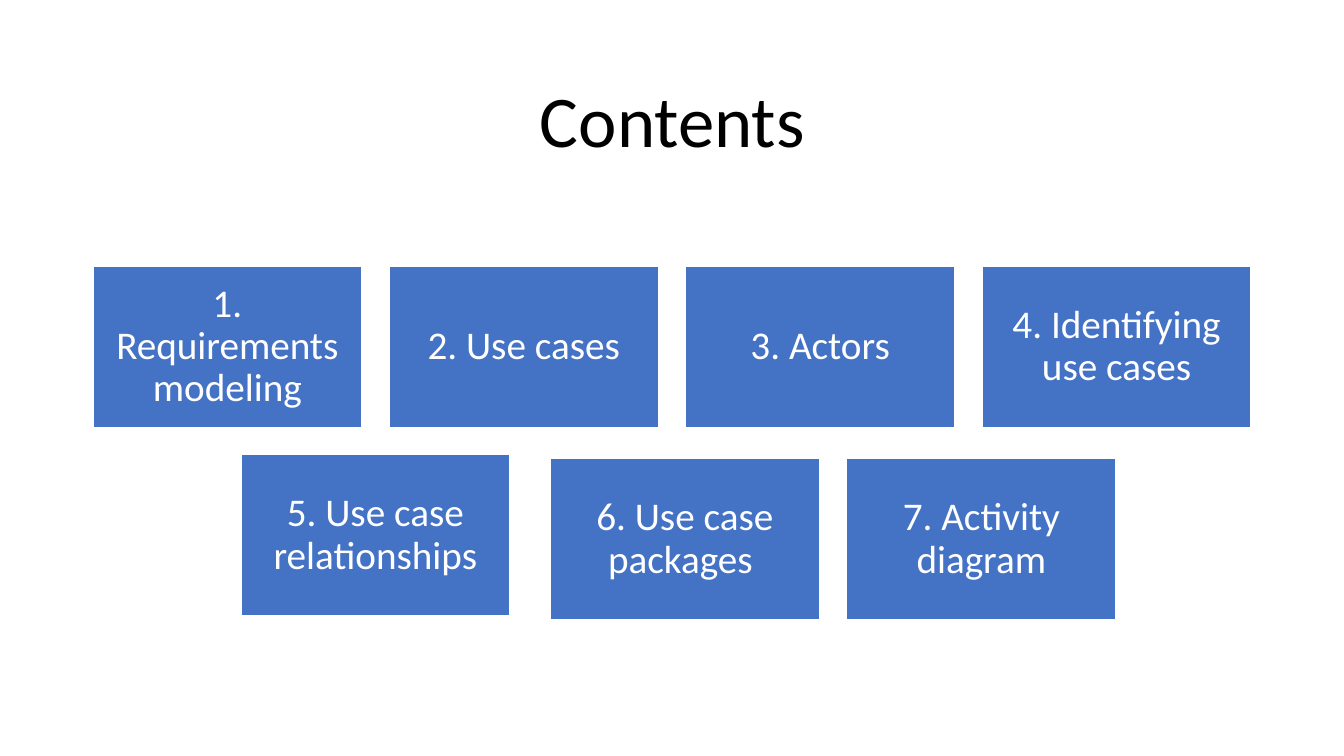
from pptx import Presentation
from pptx import util as u
from pptx.dml.color import RGBColor
from pptx.enum import shapes, text

# Content: each group is (left, top, labels), in cm
TITLE = "Contents"
GROUPS = [
    (2.34, 6.71, ["1. Requirements modeling", "2. Use cases",
                  "3. Actors", "4. Identifying use cases"]),
    (6.07, 11.46, ["5. Use case relationships"]),
    (13.87, 11.56, ["6. Use case packages ", "7. Activity diagram"]),
]
COLORS = {"title": "000000", "card": "4472C4", "light": "FFFFFF"}
FONT = "Calibri"
WIDTH, HEIGHT, STEP = 6.78, 4.06, 7.47
INSET = 0.3


def color(name):
    return RGBColor.from_string(COLORS[name])


def write(shape, label, size, tint):
    frame = shape.text_frame
    frame.word_wrap = True
    frame.vertical_anchor = text.MSO_ANCHOR.MIDDLE
    par = frame.paragraphs[0]
    par.text = label
    par.alignment = text.PP_ALIGN.CENTER
    par.line_spacing = 0.9
    par.font.name = FONT
    par.font.size = u.Pt(size)
    par.font.color.rgb = color(tint)
    return frame


def add_card(slide, left, top, label):
    card = slide.shapes.add_shape(
        shapes.MSO_SHAPE.RECTANGLE,
        u.Cm(left), u.Cm(top), u.Cm(WIDTH), u.Cm(HEIGHT))
    card.shadow.inherit = False
    card.fill.solid()
    card.fill.fore_color.rgb = color("card")
    card.line.color.rgb = color("light")
    card.line.width = u.Pt(1)
    frame = write(card, label, 28, "light")
    frame.margin_left = frame.margin_right = u.Cm(INSET)
    frame.margin_top = frame.margin_bottom = u.Cm(INSET)


def main():
    deck = Presentation()
    deck.slide_width, deck.slide_height = u.Cm(33.87), u.Cm(19.05)
    slide = deck.slides.add_slide(deck.slide_layouts[6])

    # Title
    box = slide.shapes.add_textbox(u.Cm(2.34), u.Cm(1.55), u.Cm(29.21), u.Cm(3.15))
    write(box, TITLE, 52, "title")

    # Topic cards
    for left, top, labels in GROUPS:
        for col, label in enumerate(labels):
            add_card(slide, left + col * STEP, top, label)

    deck.save("out.pptx")


if __name__ == "__main__":
    main()
